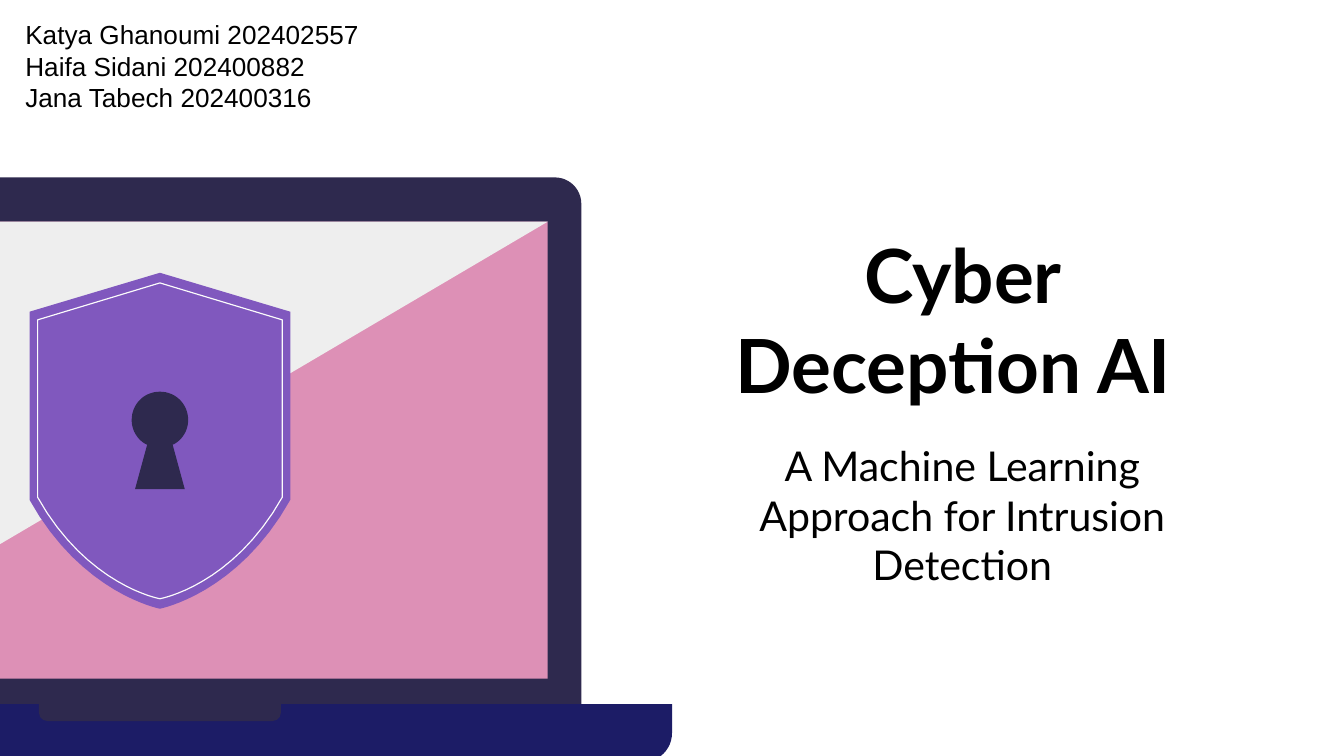
from pptx import Presentation
from pptx.dml.color import RGBColor
from pptx.enum.shapes import MSO_SHAPE
from pptx.enum.text import MSO_ANCHOR, PP_ALIGN
from pptx.util import Pt

RECT = MSO_SHAPE.RECTANGLE
ROUND_TWO = MSO_SHAPE.ROUND_2_SAME_RECTANGLE
TOP, BOTTOM = MSO_ANCHOR.TOP, MSO_ANCHOR.BOTTOM
LEFT, CENTER = PP_ALIGN.LEFT, PP_ALIGN.CENTER
PX = 4572
STEPS = 16
NAVY, INDIGO, PINK = "2E294E", "1C1C66", "DD90B6"
GREY, PURPLE, WHITE = "EEEEEE", "8058BE", "FCFCFC"


def rgb(color):
    return RGBColor.from_string(color)


def add_text(text, box, size, font, color="000000", bold=False,
             align=LEFT, anchor=TOP, inset=(20, 20)):
    tb = s.shapes.add_textbox(*[v * PX for v in box])
    tf = tb.text_frame
    tf.word_wrap = True
    tf.vertical_anchor = anchor
    tf.margin_left = tf.margin_right = inset[0] * PX
    tf.margin_top = tf.margin_bottom = inset[1] * PX
    for i, line in enumerate(text.split("\n")):
        p = tf.paragraphs[0] if i == 0 else tf.add_paragraph()
        p.alignment = align
        r = p.add_run()
        r.text = line
        r.font.size = Pt(size)
        r.font.name = font
        r.font.bold = bold
        r.font.color.rgb = rgb(color)


prs = Presentation()
prs.slide_width, prs.slide_height = 2000 * PX, 1125 * PX
s = prs.slides.add_slide(prs.slide_layouts[6])
s.background.fill.solid()
s.background.fill.fore_color.rgb = rgb("FFFFFF")

add_text("Cyber Deception AI ", (1042, 316, 780, 312), 40, "Lato",
         bold=True, align=CENTER, anchor=BOTTOM)
add_text("A Machine Learning Approach for Intrusion Detection",
         (1042, 636, 780, 174), 22, "Lato", align=CENTER)

laptop = [
    (ROUND_TWO, (-390, 264, 1255, 784), NAVY, (0.05, 0)),
    (RECT, (-340, 330, 1155, 680), PINK, ()),
    (ROUND_TWO, (-524, 1048, 1524, 86), INDIGO, (0, 0.5)),
    (ROUND_TWO, (58, 1048, 360, 25), NAVY, (0, 0.5)),
]
for kind, box, color, corners in laptop:
    sp = s.shapes.add_shape(kind, *[v * PX for v in box])
    sp.shadow.inherit = False
    sp.fill.solid()
    sp.fill.fore_color.rgb = rgb(color)
    sp.line.fill.background()
    for i, corner in enumerate(corners):
        sp.adjustments[i] = corner

glare = [(-340, 330), (-340, 1010), (815, 330)]
shield = [(238, 406), (44, 464), (44, 744), (122, 884, 238, 906, 238, 906),
          (238, 906, 354, 884, 432, 744), (432, 464)]
shield_rim = [(238, 421), (56, 476), (56, 740), (130, 872, 238, 891, 238, 891),
              (238, 891, 346, 872, 420, 740), (420, 476)]
keyhole = [(238, 583), (214, 583, 196, 602, 196, 625),
           (196, 642, 206, 656, 219, 662), (201, 728), (275, 728), (257, 662),
           (270, 656, 280, 642, 280, 625), (280, 602, 262, 583, 238, 583)]

outlines = [(glare, GREY, None), (shield, PURPLE, None),
            (shield_rim, None, WHITE), (keyhole, NAVY, None)]
for path, fill, line in outlines:
    pts = [path[0]]
    for seg in path[1:]:
        if len(seg) == 2:
            pts.append(seg)
            continue
        x0, y0 = pts[-1]
        x1, y1, x2, y2, x3, y3 = seg
        for i in range(1, STEPS + 1):
            t = i / STEPS
            a, b, c, d = (1 - t) ** 3, 3 * t * (1 - t) ** 2, 3 * t * t * (1 - t), t ** 3
            pts.append((a * x0 + b * x1 + c * x2 + d * x3,
                        a * y0 + b * y1 + c * y2 + d * y3))
    pts = [(x * PX, y * PX) for x, y in pts]
    fb = s.shapes.build_freeform(*pts[0])
    fb.add_line_segments(pts[1:], close=True)
    sp = fb.convert_to_shape()
    sp.shadow.inherit = False
    if fill:
        sp.fill.solid()
        sp.fill.fore_color.rgb = rgb(fill)
    else:
        sp.fill.background()
    if line:
        sp.line.color.rgb = rgb(line)
        sp.line.width = Pt(0.61)
    else:
        sp.line.fill.background()

add_text("Katya Ghanoumi 202402557\nHaifa Sidani 202400882\nJana Tabech 202400316",
         (18, 18, 554, 162), 14, "Arial", inset=(20, 10))

prs.save("out.pptx")
